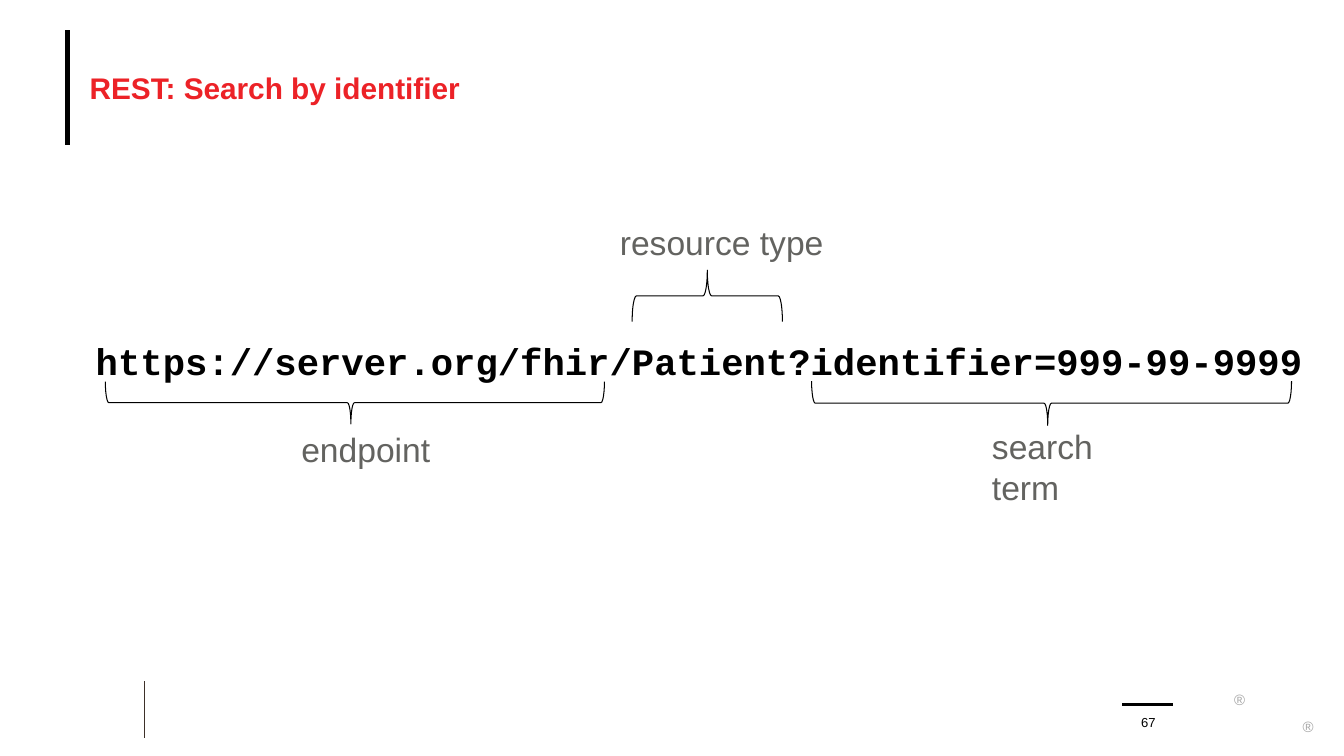
from lxml import etree
from pptx import Presentation
from pptx.dml.color import RGBColor
from pptx.enum import shapes, text
from pptx.oxml.ns import qn
from pptx.util import Inches, Pt

GREY = "636360"
BLACK = "000000"
LEFT, CENTER = text.PP_ALIGN.LEFT, text.PP_ALIGN.CENTER
TOP, MIDDLE, BOTTOM = text.MSO_ANCHOR.TOP, text.MSO_ANCHOR.MIDDLE, text.MSO_ANCHOR.BOTTOM


def color(hex_string):
    return RGBColor.from_string(hex_string)


def add_text(box, words, size, hex_color, font="Arial", bold=False,
             align=LEFT, anchor=TOP, insets=(0, 0, 0, 0), wrap=True):
    tf = s.shapes.add_textbox(*map(Inches, box)).text_frame
    tf.word_wrap = wrap
    tf.vertical_anchor = anchor
    tf.margin_left, tf.margin_top, tf.margin_right, tf.margin_bottom = map(Inches, insets)
    p = tf.paragraphs[0]
    p.alignment = align
    r = p.add_run()
    r.text = words
    r.font.name = font
    r.font.size = Pt(size)
    r.font.bold = bold
    r.font.color.rgb = color(hex_color)


prs = Presentation()
prs.slide_width, prs.slide_height = Inches(13.33), Inches(7.5)
s = prs.slides.add_slide(prs.slide_layouts[6])

# Rules: footer, title and page number
for x1, y1, x2, y2, hex_color, width in [
    (1.43, 6.76, 1.43, 7.32, "3D3029", 0.5),
    (0.67, 0.3, 0.67, 1.44, BLACK, 3.25),
    (11.13, 6.99, 11.63, 6.99, BLACK, 2),
]:
    rule = s.shapes.add_connector(shapes.MSO_CONNECTOR.STRAIGHT,
                                  *map(Inches, (x1, y1, x2, y2)))
    rule.line.color.rgb = color(hex_color)
    rule.line.width = Pt(width)
    etree.SubElement(rule._element.spPr, qn("a:effectLst"))

# Registered marks
for x, y, w in [(12.21, 6.8, 0.15), (12.9, 7.07, 0.12)]:
    add_text((x, y, w, 0.28), "®", 10.7, "A6A6A6", align=CENTER,
             insets=(0.02, 0.05, 0, 0.05), wrap=False)

# Title, search address and page number
add_text((0.89, 0.3, 12, 1.14), "REST: Search by identifier", 21.3, "EC2227",
         bold=True, anchor=MIDDLE)
add_text((0.45, 3.36, 13.54, 1.94),
         "https://server.org/fhir/Patient?identifier=999-99-9999", 26.6, BLACK,
         font="Courier New", bold=True, insets=(0.5, 0, 0, 0))
add_text((11.19, 6.99, 0.4, 0.25), "67", 9.3, BLACK, align=CENTER, anchor=BOTTOM)

# Braces with the label of each part of the address
for brace, rotation, tip, label, box in [
    ((3.31, 1.52, 0.42, 4.95), 270, 0.492, "endpoint", (2.89, 4.21, 1.6, 0.5)),
    ((6.76, 2.19, 0.51, 1.49), 90, 0.5, "resource type", (6.05, 2.15, 2.43, 0.5)),
    ((10.21, 1.62, 0.44, 4.76), 270, 0.492, "search term", (9.74, 4.18, 1.71, 0.91)),
]:
    sp = s.shapes.add_shape(shapes.MSO_SHAPE.LEFT_BRACE, *map(Inches, brace))
    sp.rotation = rotation
    sp.adjustments[0], sp.adjustments[1] = 0.083, tip
    sp.shadow.inherit = False
    sp.fill.background()
    sp.line.color.rgb = color(BLACK)
    sp.line.width = Pt(0.75)
    add_text(box, label, 24, GREY, insets=(0.1, 0.05, 0.1, 0.05))

prs.save("out.pptx")
